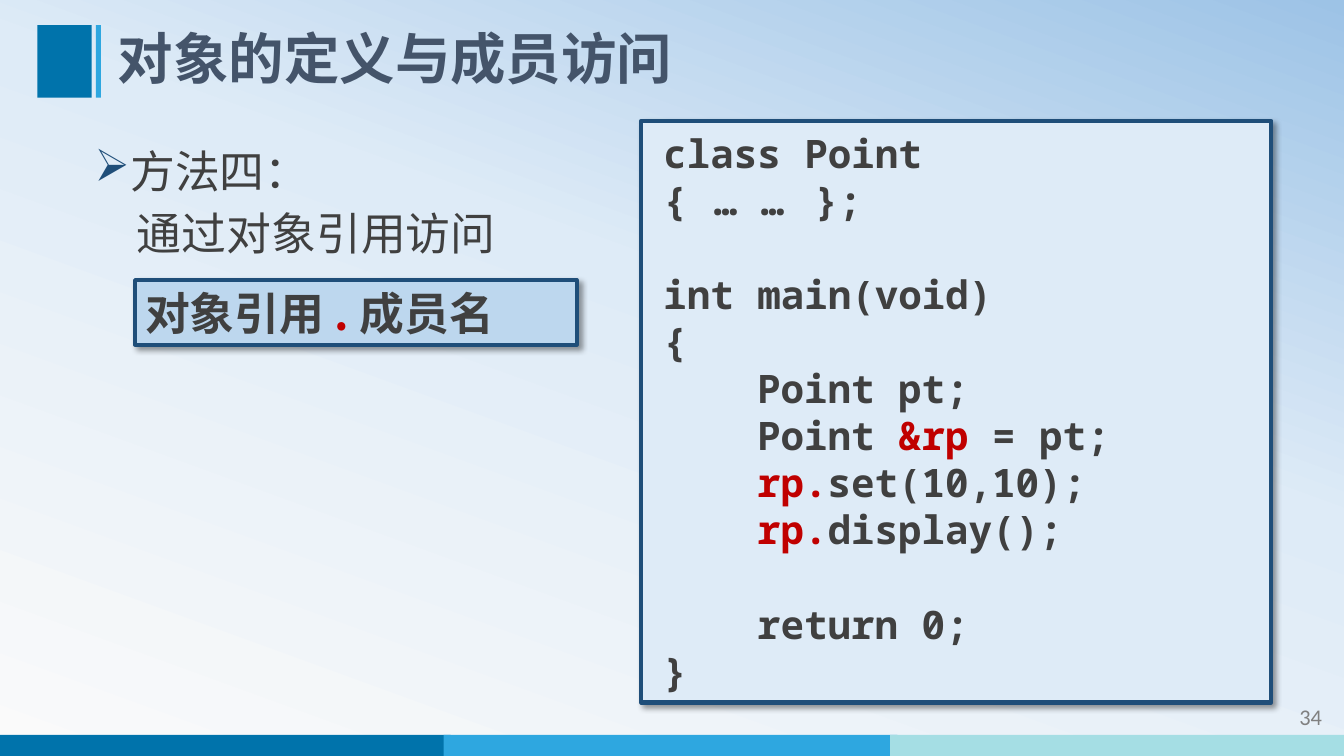
from pptx import Presentation
from pptx.dml.color import RGBColor
from pptx.enum.shapes import MSO_SHAPE
from pptx.enum.text import MSO_ANCHOR, PP_ALIGN
from pptx.oxml import parse_xml
from pptx.oxml.ns import nsdecls, qn
from pptx.util import Emu, Pt

PX = 9144
SANS, MONO = "Noto Sans CJK SC", "Noto Sans Mono"
NAVY, BLUE, SKY, MINT = "1F4E79", "0073AB", "2EA7E0", "A5DEE4"
INK, RED = "404040", "C00000"
CODE_PITCH = 33.6
CODE_INDENT = 93


def px(length):
    return Emu(length * PX)


def rgb(value):
    return RGBColor.from_string(value)


def xml(markup):
    return parse_xml(markup.replace(" ", f" {nsdecls('a')} ", 1))


def add_block(page, box, fill, line=None):
    block = page.shapes.add_shape(MSO_SHAPE.RECTANGLE, *map(px, box))
    block.shadow.inherit = False
    block.fill.solid()
    block.fill.fore_color.rgb = rgb(fill)
    if line:
        block.line.color.rgb = rgb(line)
        block.line.width = Pt(3)
    else:
        block.line.fill.background()
    return block


def add_panel(page, box, fill):
    panel = add_block(page, box, fill, NAVY)
    effects = panel._element.spPr.find(qn("a:effectLst"))
    effects.append(xml(
        f'<a:outerShdw blurRad="{Pt(4)}" dist="{Pt(3)}" dir="2700000" algn="tl" rotWithShape="0">'
        '<a:srgbClr val="000000"><a:alpha val="40000"/></a:srgbClr></a:outerShdw>'))
    return prepare_frame(panel)


def add_text_box(page, box, anchor=MSO_ANCHOR.MIDDLE):
    return prepare_frame(page.shapes.add_textbox(*map(px, box)), anchor)


def prepare_frame(shape, anchor=MSO_ANCHOR.MIDDLE):
    frame = shape.text_frame
    frame.word_wrap = True
    frame.vertical_anchor = anchor
    return frame


def write(frame, *spans, font=SANS, size=32, color=INK, bold=False, align=PP_ALIGN.LEFT,
          spacing=None, before=0, left=0, first=0):
    para = frame.paragraphs[0]
    if para.runs:
        para = frame.add_paragraph()
    para.alignment = align
    para.space_before = Pt(before)
    if spacing:
        para.line_spacing = spacing
    properties = para._p.get_or_add_pPr()
    properties.set("marL", str(px(left)))
    properties.set("indent", str(px(first)))
    for span in spans:
        text, span_color = (span, color) if isinstance(span, str) else span
        run = para.add_run()
        run.text = text
        run.font.name = font
        run.font.size = Pt(size)
        run.font.bold = bold
        run.font.color.rgb = rgb(span_color)
        run.font._element.append(xml(f'<a:ea typeface="{font}"/>'))
    return properties


def paint_background(page):
    fill = page.background.fill
    fill.gradient()
    fill.gradient_angle = 70
    stops = page._element.find(".//" + qn("a:gsLst"))
    for stop in list(stops):
        stops.remove(stop)
    for position, color in ((0, "FAFAFA"), (58, "DEEBF7"), (100, "9DC3E6")):
        stops.append(xml(f'<a:gs pos="{position * 1000}"><a:srgbClr val="{color}"/></a:gs>'))


def add_footer(page, box, number):
    left, top, width, height = box
    for offset, color in ((-3, BLUE), (440, SKY), (883, MINT)):
        add_block(page, (left + offset, top, 450, height), color)
    frame = add_text_box(page, (left + width - 171, top - 38, 159, 40))
    write(frame, number, font="Calibri", size=16, color="808080", align=PP_ALIGN.RIGHT)


def add_heading(page, box, title):
    left, top, width, height = box
    add_block(page, (left, top, 54, height), BLUE)
    add_block(page, (left + 58, top, 5, height), SKY)
    frame = add_text_box(page, (left + 70, top, width - 70, height))
    write(frame, title, size=39.6, color="44546A", bold=True, spacing=0.9)


def add_method(page, box):
    left, top, width, height = box
    frame = add_text_box(page, (left, top, width, 137), MSO_ANCHOR.TOP)
    bullet = write(frame, "方法四：", spacing=Pt(44), left=25, first=-25)
    bullet.append(xml(f'<a:buClr ><a:srgbClr val="{NAVY}"/></a:buClr>'))
    bullet.append(xml('<a:buChar char="➢"/>'))
    write(frame, "通过对象引用访问", spacing=Pt(44), left=42)
    syntax = add_panel(page, (left + 50, top + height - 64, 438, 64), "BDD7EE")
    write(syntax, "对象引用 ", (". ", RED), "成员名", bold=True)


def add_code(page, box):
    frame = add_panel(page, box, "DEEBF7")
    frame.margin_left = px(22)
    lines = (
        (0, 0, ["class Point"]),
        (0, 0, ["{\t… …\t};"]),
        (0, 1, ["int main(void)"]),
        (0, 0, ["{"]),
        (1, 0, ["Point pt;"]),
        (1, 0, ["Point ", ("&rp ", RED), "= pt;"]),
        (1, 0, [("rp.", RED), "set(10,10);"]),
        (1, 0, [("rp.", RED), "display();"]),
        (1, 1, ["return 0;"]),
        (0, 0, ["}"]),
    )
    for level, gap, spans in lines:
        properties = write(frame, *spans, font=MONO, size=28, bold=True, spacing=Pt(CODE_PITCH),
                           before=gap * CODE_PITCH, left=level * CODE_INDENT)
        if "\t" in spans[0]:
            properties.append(xml(
                f'<a:tabLst ><a:tab pos="{px(117)}" algn="l"/>'
                f'<a:tab pos="{px(257)}" algn="l"/></a:tabLst>'))


def main():
    deck = Presentation()
    deck.slide_width, deck.slide_height = px(1333), px(750)
    page = deck.slides.add_slide(deck.slide_layouts[6])
    paint_background(page)
    add_footer(page, (0, 729, 1333, 21), "34")
    add_heading(page, (37, 25, 1156, 72), "对象的定义与成员访问")
    add_method(page, (84, 130, 509, 212))
    add_code(page, (636, 120, 625, 577))
    deck.save("out.pptx")


if __name__ == "__main__":
    main()
